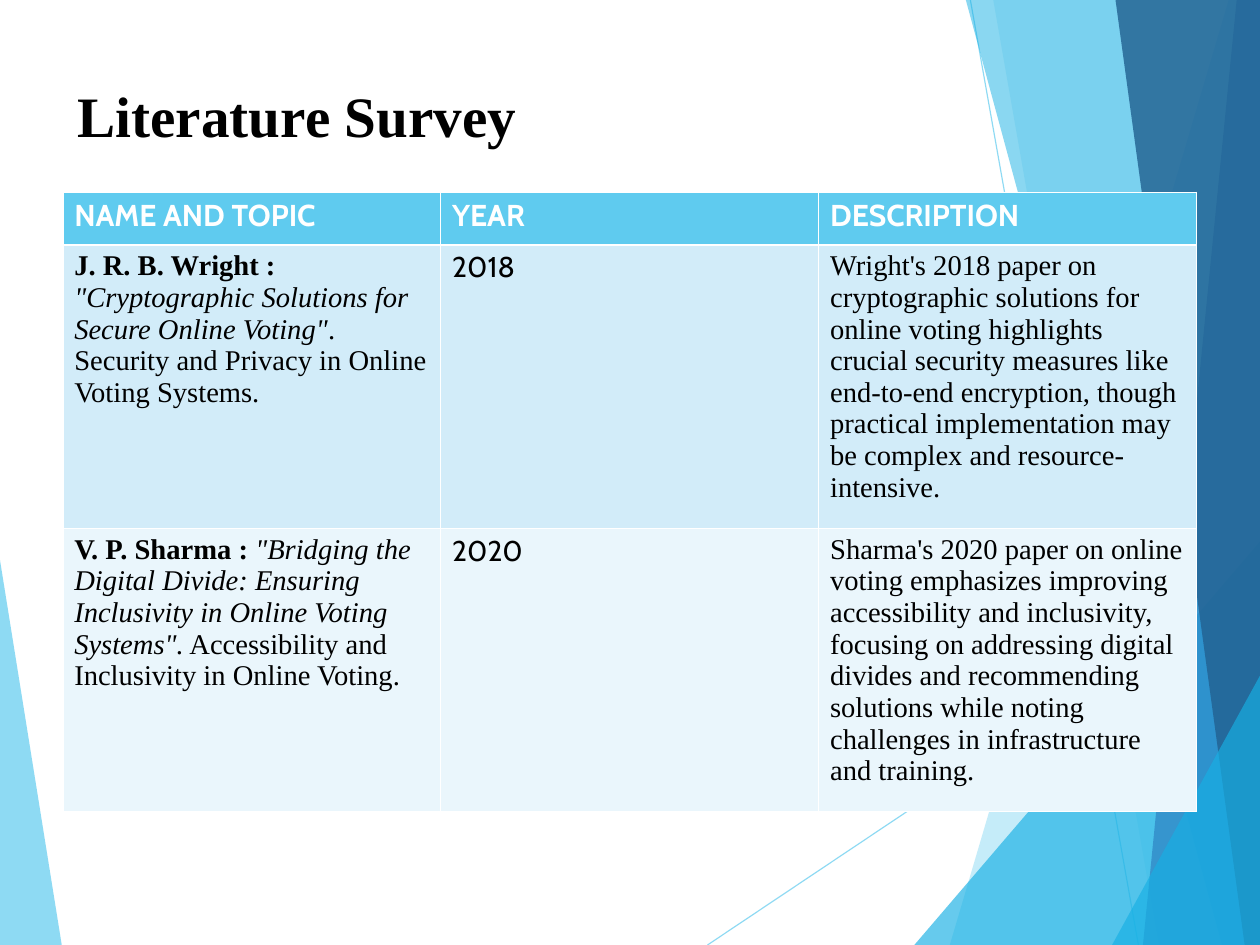
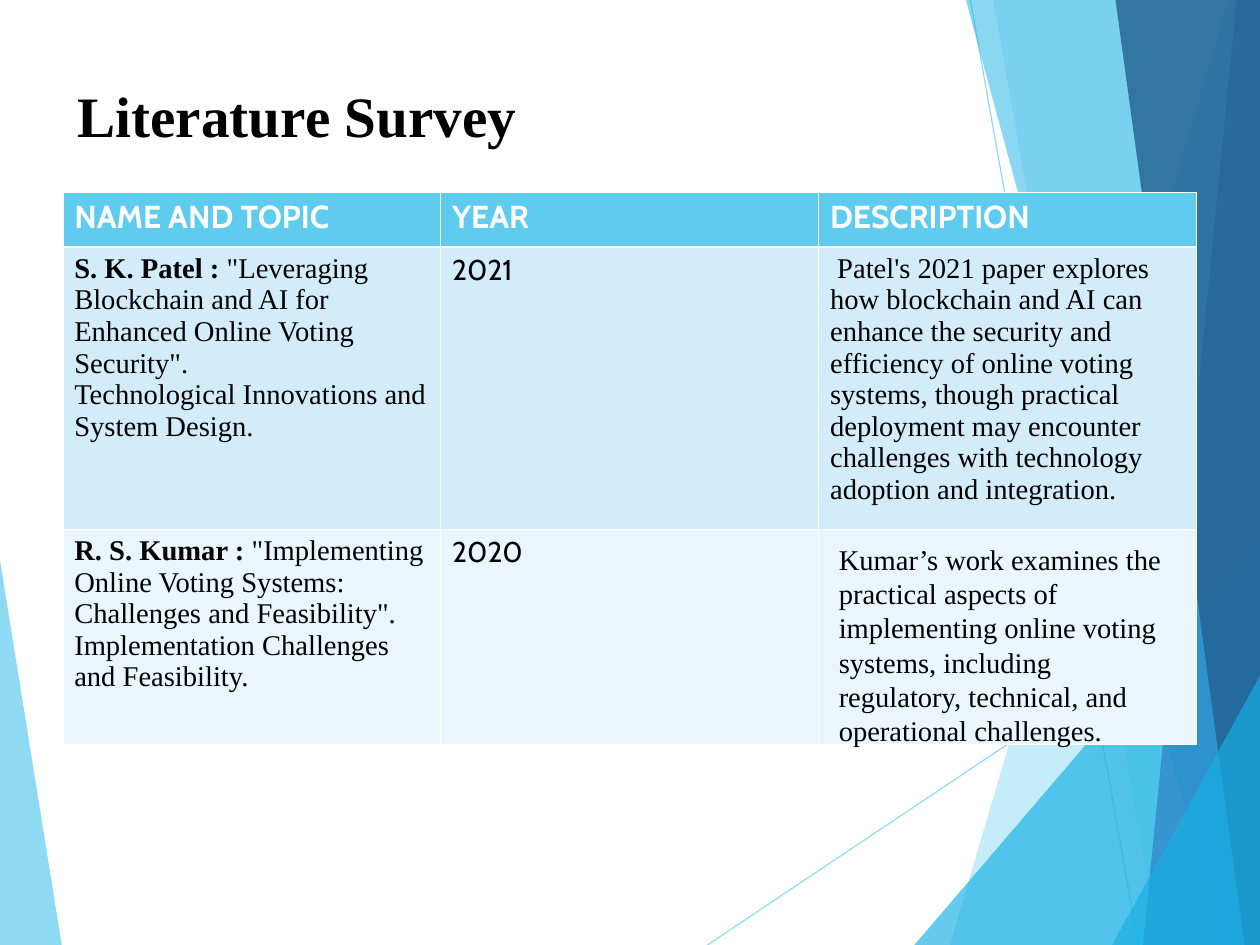
from lxml import etree
from pptx import Presentation
from pptx.dml.color import RGBColor
from pptx.enum.shapes import MSO_CONNECTOR
from pptx.enum.text import MSO_ANCHOR
from pptx.oxml.ns import qn
from pptx.util import Inches, Pt

STRAIGHT = MSO_CONNECTOR.STRAIGHT
MIDDLE = MSO_ANCHOR.MIDDLE

BLACK = RGBColor(0x00, 0x00, 0x00)
WHITE = RGBColor(0xFF, 0xFF, 0xFF)
SKY = RGBColor(0x5F, 0xCB, 0xEF)
CYAN = RGBColor(0x17, 0xB0, 0xE4)
BLUE = RGBColor(0x2E, 0x83, 0xC3)
NAVY = RGBColor(0x23, 0x62, 0x92)
PALE = RGBColor(0xD2, 0xEC, 0xF9)
PALER = RGBColor(0xEA, 0xF6, 0xFC)

SERIF = "Times New Roman"
SANS = "Cabin"

CM_PER_INCH = 2.54
WIDTH, HEIGHT = 28 / CM_PER_INCH, 21 / CM_PER_INCH
RIGHT = 11.03
LEFT, CONTENT_WIDTH = 0.55, 9.92
TABLE_TOP = 1.68
THIN, THICK = 0.45, 1.47

LEFT_WEDGE = ([(-0.01, 4.84), (0.54, HEIGHT), (-0.01, HEIGHT)], SKY, 70)
RAYS = [(6.19, HEIGHT, RIGHT, 5.03), (8.49, 0, 9.96, HEIGHT)]
RIGHT_FACETS = [
    ([(10.75, 0), (8.31, HEIGHT), (RIGHT, HEIGHT), (RIGHT, 0)], SKY, 36),
    ([(8.69, 0), (10.14, HEIGHT), (RIGHT, HEIGHT), (RIGHT, 0)], SKY, 20),
    ([(8, HEIGHT), (RIGHT, 4.73), (RIGHT, HEIGHT)], CYAN, 66),
    ([(8.45, 0), (10.69, HEIGHT), (RIGHT, HEIGHT), (RIGHT, 0)], CYAN, 50),
    ([(10.82, 0), (10, HEIGHT), (RIGHT, HEIGHT), (RIGHT, 0)], BLUE, 70),
    ([(9.76, 0), (10.89, HEIGHT), (RIGHT, HEIGHT), (RIGHT, 0)], NAVY, 82),
    ([(9.73, HEIGHT), (RIGHT, 5.9), (RIGHT, HEIGHT)], CYAN, 66),
]

HEADINGS = ["NAME AND TOPIC", "YEAR", "DESCRIPTION"]
BOLD = {"bold": True}
ITALIC = {"italic": True}

WRIGHT = (
    [[("J. R. B. Wright : ", BOLD),
      ('"Cryptographic Solutions for Secure Online Voting"', ITALIC),
      (". Security and Privacy in Online Voting Systems.", {})]],
    "2018",
    "Wright's 2018 paper on cryptographic solutions for online voting "
    "highlights crucial security measures like end-to-end encryption, though "
    "practical implementation may be complex and resource-intensive.",
)
SHARMA = (
    [[("V. P. Sharma : ", BOLD),
      ('"Bridging the Digital Divide: Ensuring Inclusivity in Online Voting '
       'Systems".', ITALIC),
      (" Accessibility and Inclusivity in Online Voting.", {})]],
    "2020",
    "Sharma's 2020 paper on online voting emphasizes improving accessibility "
    "and inclusivity, focusing on addressing digital divides and recommending "
    "solutions while noting challenges in infrastructure and training.",
)
PATEL = (
    [[("S. K. Patel : ", BOLD),
      ('"Leveraging Blockchain and AI for Enhanced Online Voting Security".',
       {})],
     [("Technological Innovations and System Design.", {})]],
    "2021",
    " Patel's 2021 paper explores how blockchain and AI can enhance the "
    "security and efficiency of online voting systems, though practical "
    "deployment may encounter challenges with technology adoption and "
    "integration.",
)
KUMAR = (
    [[("R. S. Kumar : ", BOLD),
      ('"Implementing Online Voting Systems: Challenges and Feasibility". '
       "Implementation Challenges and Feasibility.", {})]],
    "2020",
    "",
)
KUMAR_SUMMARY = (
    "Kumar’s work examines the practical aspects of implementing online "
    "voting systems, including regulatory, technical, and operational "
    "challenges."
)


def add_text(paragraph, text, font=SERIF, size=18, color=BLACK, bold=False,
             italic=False):
    run = paragraph.add_run()
    run.text = text
    run.font.name = font
    run.font.size = Pt(size)
    run.font.color.rgb = color
    run.font.bold = bold
    run.font.italic = italic


def set_opacity(element, percent):
    for color in element.spPr.iter(qn("a:srgbClr")):
        alpha = etree.SubElement(color, qn("a:alpha"))
        alpha.set("val", str(percent * 1000))


def add_facet(slide, corners, color, opacity):
    points = [(Inches(x), Inches(y)) for x, y in corners]
    builder = slide.shapes.build_freeform(*points[0])
    builder.add_line_segments(points[1:], close=True)
    facet = builder.convert_to_shape()
    facet.shadow.inherit = False
    facet.fill.solid()
    facet.fill.fore_color.rgb = color
    facet.line.fill.background()
    set_opacity(facet._element, opacity)


def add_ray(slide, *ends):
    ray = slide.shapes.add_connector(STRAIGHT, *map(Inches, ends))
    ray.line.color.rgb = SKY
    ray.line.width = Pt(0.75)
    set_opacity(ray._element, 70)
    etree.SubElement(ray._element.spPr, qn("a:effectLst"))


def add_backdrop(slide):
    add_facet(slide, *LEFT_WEDGE)
    for ends in RAYS:
        add_ray(slide, *ends)
    for facet in RIGHT_FACETS:
        add_facet(slide, *facet)


def add_box(slide, left, top, width, height, text, margins, spacing=None,
            anchor=None, **style):
    box = slide.shapes.add_textbox(*map(Inches, (left, top, width, height)))
    frame = box.text_frame
    frame.word_wrap = True
    frame.vertical_anchor = anchor
    (frame.margin_left, frame.margin_top,
     frame.margin_right, frame.margin_bottom) = map(Inches, margins)
    paragraph = frame.paragraphs[0]
    paragraph.line_spacing = spacing
    add_text(paragraph, text, **style)


def add_title(slide):
    add_box(slide, LEFT, 0.33, CONTENT_WIDTH, 1.38, "Literature Survey",
            (0.13, 0.03, 0, 0), 0.93, MIDDLE, size=36, bold=True)


def set_borders(cell, top, bottom):
    sides = [("L", THIN), ("R", THIN), ("T", top), ("B", bottom)]
    properties = cell._tc.get_or_add_tcPr()
    for place, (side, width) in enumerate(sides):
        border = etree.Element(qn(f"a:ln{side}"), w=str(Pt(width)))
        fill = etree.SubElement(border, qn("a:solidFill"))
        etree.SubElement(fill, qn("a:srgbClr"), val=str(WHITE))
        properties.insert(place, border)


def fill_cell(cell, paragraphs, color, top=THIN, bottom=THIN):
    cell.fill.solid()
    cell.fill.fore_color.rgb = color
    cell.margin_bottom = Inches(0.01)
    set_borders(cell, top, bottom)
    frame = cell.text_frame
    for number, pieces in enumerate(paragraphs):
        paragraph = frame.add_paragraph() if number else frame.paragraphs[0]
        for text, style in pieces:
            add_text(paragraph, text, **style)


def add_survey_table(slide, papers, row_heights, heading_size):
    table = slide.shapes.add_table(
        len(row_heights), len(HEADINGS), Inches(LEFT), Inches(TABLE_TOP),
        Inches(CONTENT_WIDTH), Inches(sum(row_heights))).table
    table.horz_banding = False
    for row, height in zip(table.rows, row_heights):
        row.height = Inches(height)

    heading_style = {"font": SANS, "size": heading_size, "color": WHITE,
                     "bold": True}
    for column, heading in enumerate(HEADINGS):
        fill_cell(table.cell(0, column), [[(heading, heading_style)]], SKY,
                  bottom=THICK)

    for row, (topic, year, summary) in enumerate(papers, start=1):
        contents = [topic, [[(year, {"font": SANS})]],
                    [[(summary, {})]] if summary else []]
        for column, paragraphs in enumerate(contents):
            fill_cell(table.cell(row, column), paragraphs,
                      PALE if row % 2 else PALER,
                      top=THICK if row == 1 else THIN)


def add_survey_slide(deck, papers, row_heights, heading_size):
    slide = deck.slides.add_slide(deck.slide_layouts[6])
    add_backdrop(slide)
    add_title(slide)
    add_survey_table(slide, papers, row_heights, heading_size)
    return slide


def main():
    deck = Presentation()
    deck.slide_width = Inches(WIDTH)
    deck.slide_height = Inches(HEIGHT)
    add_survey_slide(deck, [WRIGHT, SHARMA], [0.46, 2.48, 2.48], 19)
    last = add_survey_slide(deck, [PATEL, KUMAR], [0.48, 2.47, 1.88], 20)
    add_box(last, 7.24, 4.69, 3.07, 2.2, KUMAR_SUMMARY,
            (0.1, 0.05, 0.1, 0.05))
    deck.save("out.pptx")


if __name__ == "__main__":
    main()
